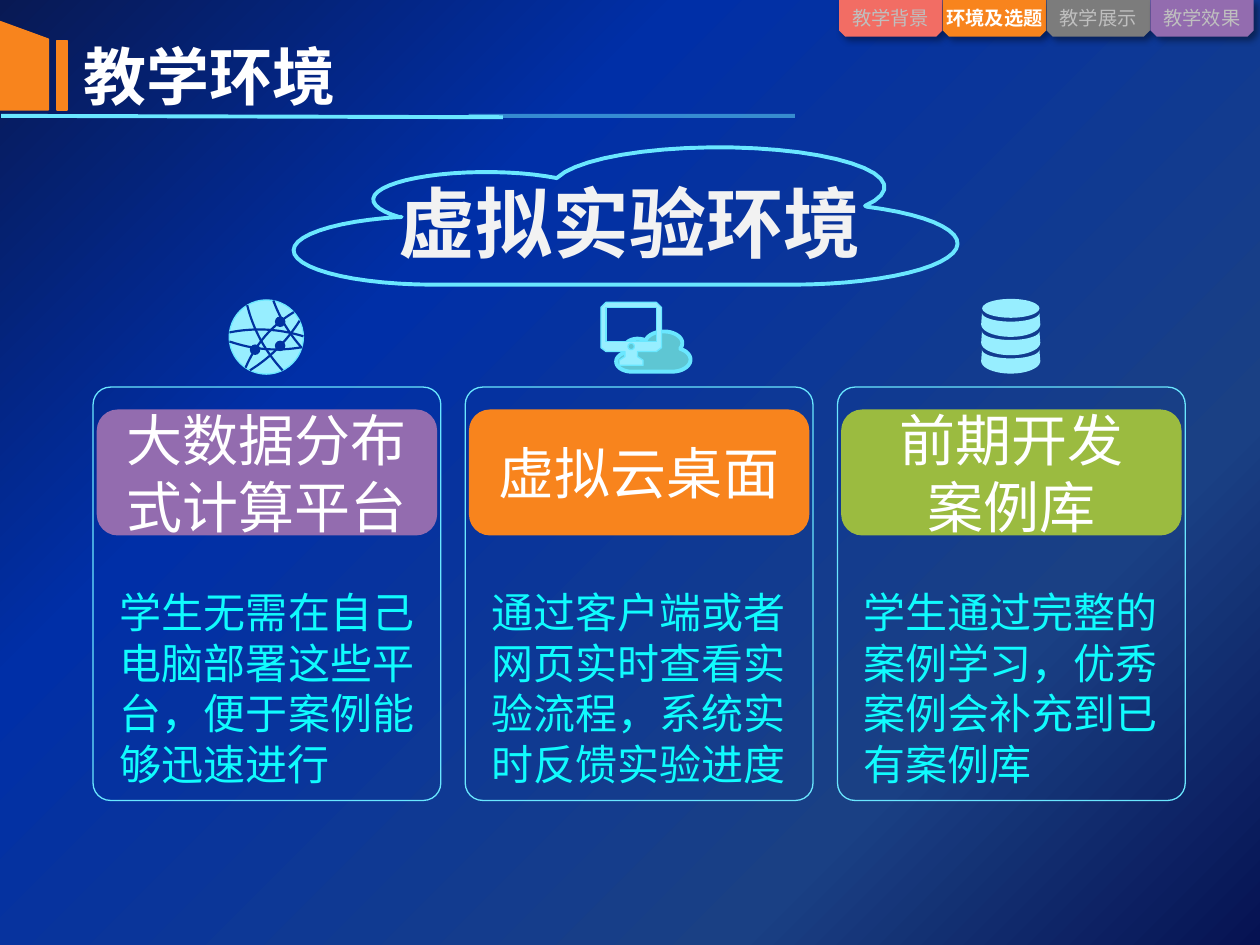
"""Build the slide on the virtual lab environment for teaching."""
from math import cos, hypot, radians, sin
from lxml import etree
from pptx import Presentation
from pptx.dml.color import RGBColor
from pptx.enum.shapes import MSO_CONNECTOR, MSO_SHAPE
from pptx.enum.text import MSO_ANCHOR, PP_ALIGN
from pptx.oxml import parse_xml
from pptx.oxml.ns import nsdecls, qn
from pptx.util import Pt

LEFT, MID, JUST = PP_ALIGN.LEFT, PP_ALIGN.CENTER, PP_ALIGN.JUSTIFY
TOP, CENTER = MSO_ANCHOR.TOP, MSO_ANCHOR.MIDDLE
RECT, ROUND, OVAL = MSO_SHAPE.RECTANGLE, MSO_SHAPE.ROUNDED_RECTANGLE, MSO_SHAPE.OVAL
SNIP, SLOPE = MSO_SHAPE.SNIP_2_SAME_RECTANGLE, MSO_SHAPE.FLOWCHART_MANUAL_INPUT
STRAIGHT = MSO_CONNECTOR.STRAIGHT
FONT = "Noto Sans CJK SC"
WHITE, GREY, PALE, CYAN = "FFFFFF", "BFBFBF", "F2F2F2", "10FBFE"
EDGE, ICON, TEAL, NAVY = "6AE7FF", "97EEFF", "5EC6D3", "0132A0"
ORANGE, PURPLE = "F8841D", "936CAF"

STOPS = [(0, "081954"), (31, "002FA7"), (76, "1A4084"), (100, "061252")]
TITLE, THEME = "教学环境", "虚拟实验环境"
TABS = [("教学背景", "F26D64", False), ("环境及选题", ORANGE, True),
        ("教学展示", "7C7C7C", False), ("教学效果", PURPLE, False)]
CARDS = [
    (["大数据分布式计算平台"], PURPLE, JUST,
     "学生无需在自己电脑部署这些平台，便于案例能够迅速进行"),
    (["虚拟云桌面"], ORANGE, LEFT,
     "通过客户端或者网页实时查看实验流程，系统实时反馈实验进度"),
    (["前期开发", "案例库"], "9BBB40", LEFT,
     "学生通过完整的案例学习，优秀案例会补充到已有案例库"),
]
TAB_X, TAB_W, TAB_H, TAB_STEP = 479.5, 59, 20.9, 59.3
CARD_X, CARD_Y, CARD_W, CARD_H, CARD_STEP = 53.2, 221.2, 198.7, 236.2, 212.7
HEAD_PAD, HEAD_Y, HEAD_H = 2.1, 234, 72
BODY_PAD, BODY_Y, BODY_H = 7.8, 331.8, 123.8

LOBES = [dict(mid=(0.75, 0.7), radii=(0.25, 0.3), span=(-63, 90)),
         dict(mid=(0.21, 0.75), radii=(0.21, 0.25), span=(90, 257)),
         dict(mid=(0.29, 0.38), radii=(0.17, 0.2), span=(140, 309)),
         dict(mid=(0.64, 0.29), radii=(0.25, 0.29), span=(194, 388))]
THREADS = [dict(start=239, end=64, sag=2.7), dict(start=281, end=17, sag=1.5),
           dict(start=187, end=359, sag=-2.7), dict(start=173, end=16, sag=2.7),
           dict(start=318, end=124, sag=3.4), dict(start=334, end=116, sag=-2.3)]
KNOTS = [(4, 0.22), (4, 0.73), (5, 0.45)]
CASE = [(14.4, 0), (17.3, 2.9), (17.3, 25.9), (14.4, 28.1),
        (3.6, 28.1), (3.6, 31), (6.8, 33.1), (6.8, 36)]
GLASS = [(14.4, 2.9), (14.4, 22.3)]


def rgb(code):
    """Turn a hex string into a colour."""
    return RGBColor.from_string(code)


def paint(shape, fill=None, line=None, width=0.75):
    """Set fill and line, or remove them, and drop the shadow."""
    shape.shadow.inherit = False
    if fill:
        shape.fill.solid()
        shape.fill.fore_color.rgb = rgb(fill)
    else:
        shape.fill.background()
    if line:
        shape.line.color.rgb = rgb(line)
        shape.line.width = Pt(width)
    else:
        shape.line.fill.background()
    return shape


def draw(kind, box, flip=None, **look):
    """Add a preset shape."""
    shape = slide.shapes.add_shape(kind, *map(Pt, box))
    if flip:
        shape._element.spPr.find(qn("a:xfrm")).set(flip, "1")
    return paint(shape, **look)


def disc(mid, rx, ry, **look):
    """Add an ellipse about its centre."""
    return draw(OVAL, (mid[0] - rx, mid[1] - ry, 2 * rx, 2 * ry), **look)


def trace(paths, close=True, **look):
    """Add one freeform made of several paths."""
    paths = [[(Pt(x), Pt(y)) for x, y in path] for path in paths]
    pen = slide.shapes.build_freeform(*paths[0][0])
    for path in paths:
        pen.move_to(*path[0])
        pen.add_line_segments(path[1:], close=close)
    return paint(pen.convert_to_shape(), **look)


def write(shape, lines, size, color, align=LEFT, anchor=TOP, bold=False, pad=(7.2, 3.6)):
    """Fill a shape with text of one style."""
    frame = shape.text_frame
    frame.text = "\n".join(lines)
    frame.word_wrap, frame.vertical_anchor = True, anchor
    frame.margin_left = frame.margin_right = Pt(pad[0])
    frame.margin_top = frame.margin_bottom = Pt(pad[1])
    for para in frame.paragraphs:
        para.alignment = align
        font = para.font
        font.size, font.bold, font.name = Pt(size), bold, FONT
        font.color.rgb = rgb(color)
        etree.SubElement(font._element, qn("a:ea")).set("typeface", FONT)


def label(box, *args, **opts):
    """Add a text box."""
    write(slide.shapes.add_textbox(*map(Pt, box)), *args, **opts)


def arc(mid, radii, span, steps=24):
    """List points on an elliptical arc, with angles running clockwise."""
    first, last = span
    turns = [radians(first + (last - first) * k / steps) for k in range(steps + 1)]
    return [(mid[0] + radii[0] * cos(t), mid[1] + radii[1] * sin(t)) for t in turns]


def cloud(left, top, width, height, **look):
    """Draw the four lobes of a cloud, scaled to a box."""
    edge = [(left + width * x, top + height * y) for lobe in LOBES for x, y in arc(**lobe)]
    trace([edge], line=EDGE, width=2.25, **look)


def globe(mid, radius):
    """Draw a ball crossed by bent threads with knots on them."""
    def point(thread, t):
        (ax, ay), (bx, by) = (arc(mid, (radius, radius), (thread[end],) * 2, 1)[0]
                              for end in ("start", "end"))
        dx, dy = bx - ax, by - ay
        bend = 4 * thread["sag"] * t * (1 - t) / hypot(dx, dy)
        return ax + dx * t - dy * bend, ay + dy * t + dx * bend

    disc(mid, radius, radius, fill=ICON, line=EDGE)
    trace([[point(thread, k / 16) for k in range(17)] for thread in THREADS],
          close=False, line=NAVY, width=1.25)
    for num, t in KNOTS:
        disc(point(THREADS[num], t), 3, 3, fill=NAVY)


def screen(axis, top):
    """Draw a monitor by mirroring half outlines about its axis."""
    def mirror(half):
        return ([(axis + x, top + y) for x, y in half]
                + [(axis - x, top + y) for x, y in reversed(half)])

    knob = arc((axis, top + 25.2), (1.8, 1.8), (0, 360))
    trace([mirror(CASE), mirror(GLASS), knob], fill=ICON, line=EDGE)


def drum(axis, top, bands=3, step=10.5):
    """Draw a lid over a stack of equal curved bands."""
    disc((axis, top + 5.4), 16.4, 5.4, fill=ICON)
    for num in range(bands):
        level = top + 8 + step * num
        trace([arc((axis, level), (16.4, 5), (180, 0))
               + arc((axis, level + 6.5), (16.9, 7.2), (0, 180))], fill=ICON)


def rule(start, end, alpha=100):
    """Draw a glowing line under the title."""
    line = slide.shapes.add_connector(STRAIGHT, *map(Pt, start + end))
    line.line.color.rgb, line.line.width = rgb(EDGE), Pt(2.25)
    tint = line._element.spPr.find(".//" + qn("a:srgbClr"))
    etree.SubElement(tint, qn("a:alpha")).set("val", str(alpha * 1000))
    etree.SubElement(line._element.spPr, qn("a:effectLst"))


def shade(shape):
    """Give a shape a soft shadow to the lower right."""
    shape._element.spPr.find(qn("a:effectLst")).append(parse_xml(
        f'<a:outerShdw {nsdecls("a")} blurRad="{Pt(4)}" dist="{Pt(3)}" dir="2700000">'
        '<a:srgbClr val="000000"><a:alpha val="40000"/></a:srgbClr></a:outerShdw>'))


def backdrop():
    """Fill the background with a diagonal gradient."""
    stops = "".join(f'<a:gs pos="{at * 1000}"><a:srgbClr val="{code}"/></a:gs>'
                    for at, code in STOPS)
    slide._element.cSld.insert(0, parse_xml(
        f'<p:bg {nsdecls("p", "a")}><p:bgPr><a:gradFill><a:gsLst>{stops}</a:gsLst>'
        '<a:lin ang="2700000" scaled="0"/></a:gradFill><a:effectLst/></p:bgPr></p:bg>'))


def header():
    """Place the tabs, the title and its ornaments."""
    for num, (name, fill, live) in enumerate(TABS):
        left = TAB_X + TAB_STEP * num
        shade(draw(SNIP, (left, 0, TAB_W, TAB_H), "flipV", fill=fill))
        label((left, 0, TAB_W, TAB_H), [name], 11, WHITE if live else GREY, MID,
              bold=live, pad=(0, 3.6))
    rule((0.7, 66.2), (287.3, 67))
    rule((267.8, 66.2), (454.3, 66.2), alpha=50)
    draw(SLOPE, (0, 12.4, 27.6, 50.4), "flipH", fill=ORANGE, line=ORANGE, width=1)
    draw(RECT, (32.4, 23.2, 5.8, 39.6), fill=ORANGE, line=ORANGE, width=1)
    title = slide.shapes.title
    title.left, title.top, title.width, title.height = map(Pt, (40.3, 17.3, 411.8, 51.1))
    write(title, [TITLE], 36, WHITE, anchor=CENTER, bold=True)


def cards():
    """Place the framed cards at equal steps."""
    for num, (head, fill, align, body) in enumerate(CARDS):
        left = CARD_X + CARD_STEP * num
        draw(ROUND, (left, CARD_Y, CARD_W, CARD_H), line=EDGE).adjustments[0] = 0.05
        pill = draw(ROUND, (left + HEAD_PAD, HEAD_Y, CARD_W - 2 * HEAD_PAD, HEAD_H), fill=fill)
        write(pill, head, 32, WHITE, MID, CENTER)
        label((left + BODY_PAD, BODY_Y, CARD_W - 2 * BODY_PAD, BODY_H), [body], 24, CYAN, align)


deck = Presentation()
deck.slide_width, deck.slide_height = Pt(720), Pt(540)
slide = deck.slides.add_slide(deck.slide_layouts[5])
backdrop()
header()
cloud(167.8, 84.2, 379.4, 78.5)
label((227.5, 100, 300.2, 53.3), [THEME], 44, PALE, anchor=CENTER, bold=True, pad=(0, 0))
cards()
globe((152.2, 192.6), 21.2)
cloud(352.1, 189.4, 42.5, 23, fill=TEAL)
screen(360.7, 172.8)
drum(577.6, 170.8)
deck.save("out.pptx")
